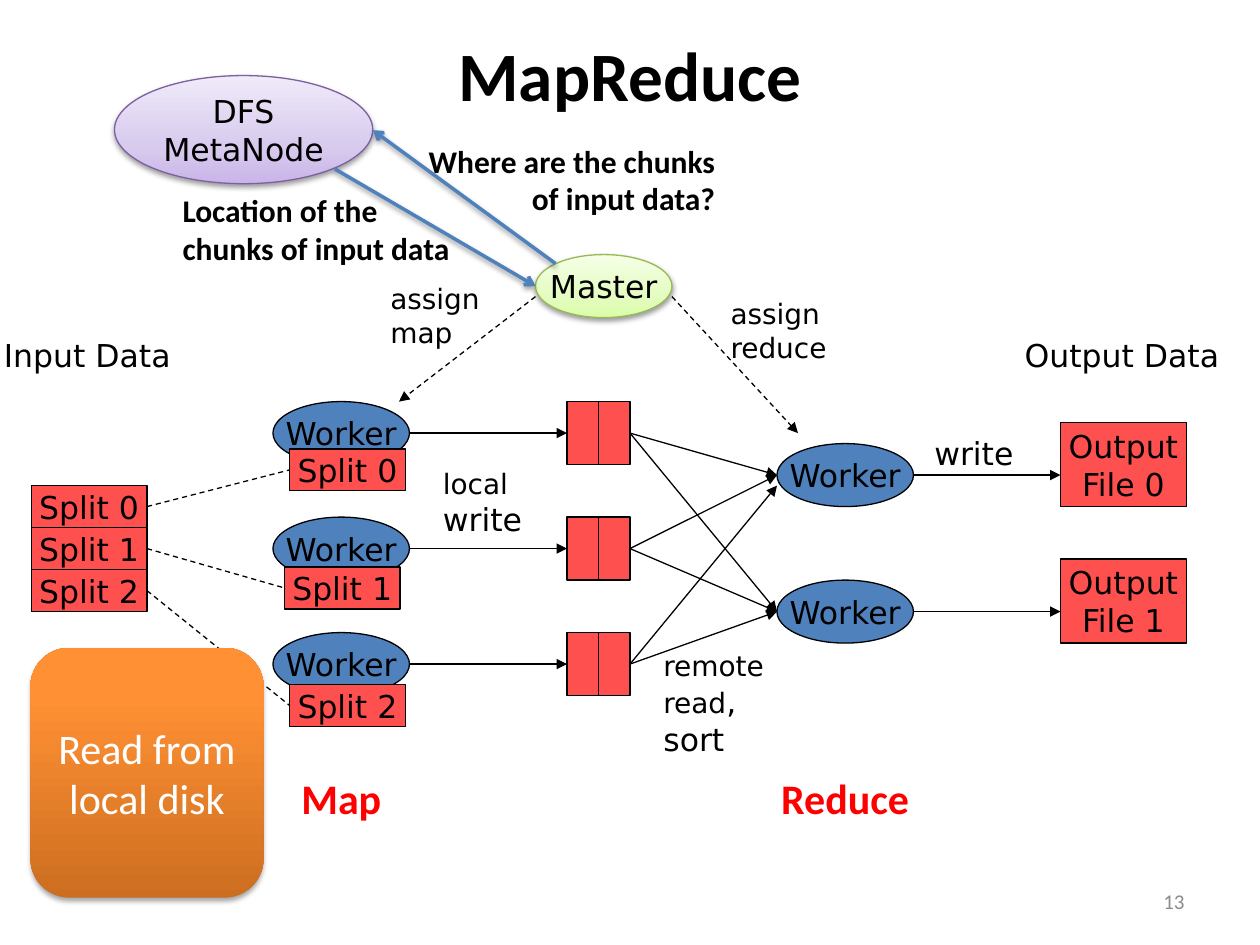
from dataclasses import dataclass
from itertools import product

from lxml.etree import SubElement
from pptx import Presentation
from pptx.dml.color import RGBColor
from pptx.enum.dml import MSO_LINE
from pptx.enum.shapes import MSO_CONNECTOR, MSO_SHAPE
from pptx.enum.text import MSO_ANCHOR, MSO_AUTO_SIZE, PP_ALIGN
from pptx.oxml.ns import qn
from pptx.util import Inches, Pt


@dataclass(frozen=True)
class Theme:
    sans: str = "DejaVu Sans"
    body: str = "Calibri"
    black: str = "000000"
    white: str = "FFFFFF"
    gray: str = "8C8C8C"
    accent: str = "FF0000"
    red: str = "FF5050"
    blue: str = "4F81BD"
    green_edge: str = "98B955"
    purple_edge: str = "7D60A0"
    green: tuple = ((0, "DAFDA7"), (35, "E4FCC2"), (100, "F5FFE7"))
    purple: tuple = ((0, "C9B5E8"), (35, "D8CBEE"), (100, "F0EAF9"))
    orange: tuple = ((0, "CC6E20"), (80, "FF9034"), (100, "FF9136"))
    title: float = 39.6
    large: int = 24
    normal: int = 18
    small: int = 16
    tiny: int = 12
    thin: float = 0.75
    thick: int = 2


T = Theme()
CELL = Inches(10) // 120
ELLIPSE, RECT = MSO_SHAPE.OVAL, MSO_SHAPE.RECTANGLE
LEFT, CENTER, RIGHT = PP_ALIGN.LEFT, PP_ALIGN.CENTER, PP_ALIGN.RIGHT
LEFT_SIDE, RIGHT_SIDE = 1, 3


def grid(*cells):
    return [round(c * CELL) for c in cells]


def add_run(p, text, size, font, color, bold=False):
    r = p.add_run()
    r.text = text
    r.font.size, r.font.name, r.font.bold = Pt(size), font, bold
    r.font.color.rgb = RGBColor.from_string(color)


def write(tf, lines, align, size=T.normal, font=T.sans, color=T.black, bold=False):
    for i, line in enumerate(lines):
        p = tf.add_paragraph() if i else tf.paragraphs[0]
        p.alignment = align
        runs = [(line, size)] if isinstance(line, str) else line
        for text, run_size in runs:
            add_run(p, text, run_size, font, color, bold)


def add_shadow(sp, alpha=38, dist=1.6):
    effects = sp._element.spPr.find(qn("a:effectLst"))
    shadow = SubElement(effects, qn("a:outerShdw"), blurRad=str(Pt(3.1)),
                        dist=str(Pt(dist)), dir="5400000", rotWithShape="0")
    color = SubElement(shadow, qn("a:srgbClr"), val=T.black)
    SubElement(color, qn("a:alpha"), val=str(alpha * 1000))


def fill_gradient(sp, stops):
    sp.fill.gradient()
    sp.fill.gradient_angle = 90
    stop_list = sp._element.spPr.find(qn("a:gradFill")).find(qn("a:gsLst"))
    stop_list.clear()
    for pos, color in stops:
        stop = SubElement(stop_list, qn("a:gs"), pos=str(pos * 1000))
        SubElement(stop, qn("a:srgbClr"), val=color)


def add_box(s, kind, at, fill, lines=(), edge=T.black, wrap=False, **style):
    sp = s.shapes.add_shape(kind, *grid(*at))
    sp.shadow.inherit = False
    if isinstance(fill, str):
        sp.fill.solid()
        sp.fill.fore_color.rgb = RGBColor.from_string(fill)
    else:
        fill_gradient(sp, fill)
    if edge:
        sp.line.color.rgb = RGBColor.from_string(edge)
        sp.line.width = Pt(T.thin)
    else:
        sp.line.fill.background()
    tf = sp.text_frame
    tf.word_wrap = wrap
    tf.vertical_anchor = MSO_ANCHOR.MIDDLE
    write(tf, lines, CENTER, **style)
    return sp


def add_label(s, at, lines, align=LEFT, wrap=False, **style):
    tf = s.shapes.add_textbox(*grid(*at)).text_frame
    tf.word_wrap = wrap
    tf.auto_size = MSO_AUTO_SIZE.SHAPE_TO_FIT_TEXT
    write(tf, lines, align, **style)
    return tf


def add_line(s, start, end, color=T.black, width=T.thin, dash=False, head="triangle",
             source=None, target=None):
    cx = s.shapes.add_connector(MSO_CONNECTOR.STRAIGHT, *grid(*start, *end))
    if source is not None:
        cx.begin_connect(source, RIGHT_SIDE)
    if target is not None:
        cx.end_connect(target, LEFT_SIDE)
    cx.line.color.rgb = RGBColor.from_string(color)
    cx.line.width = Pt(width)
    if dash:
        cx.line.dash_style = MSO_LINE.DASH
    if head:
        SubElement(cx.line._get_or_add_ln(), qn("a:tailEnd"), type=head)
    SubElement(cx._element.spPr, qn("a:effectLst"))
    return cx


def add_title(s):
    title = s.shapes.title
    title.left, title.top, title.width, title.height = grid(6, 3.1, 108, 15)
    tf = title.text_frame
    tf.vertical_anchor = MSO_ANCHOR.TOP
    tf.margin_top = 0
    write(tf, ["MapReduce"], CENTER, T.title, T.body, bold=True)


def add_master(s):
    add_shadow(add_box(s, ELLIPSE, (51, 24.25, 13, 6), T.green, ["Master"], T.green_edge))
    add_line(s, (51, 28.25), (38, 38.25), dash=True)
    add_line(s, (64, 28.25), (76, 41.25), dash=True)
    add_label(s, (36, 26.25, 11, 7.7), ["assign", "map"], size=T.small)
    add_label(s, (68.4, 27.7, 12, 7.7), ["assign", "reduce"], size=T.small)


def add_map_stage(s):
    buffers = []
    for i, (col, row) in enumerate([(27.6, 42.75), (27.1, 54), (27.6, 65.2)]):
        top = 38.25 + 11 * i
        add_box(s, ELLIPSE, (26, top, 13, 6), T.blue, ["Worker"])
        first, last = [add_box(s, RECT, (c, top, 3, 6), T.red) for c in (54, 57)]
        add_line(s, (39, top + 3), (54, top + 3), target=first)
        buffers.append(last)
        stored = add_box(s, RECT, (3, 46.25 + 4 * i, 11, 4), T.red, [f"Split {i}"])
        loaded = add_box(s, RECT, (col, row, 11, 4), T.red, [f"Split {i}"])
        add_line(s, (14, 48.25 + 4 * i), (col, row + 2), dash=True, head=None,
                 source=stored, target=loaded)
    add_label(s, (41, 43.8, 10, 8), [[("local", T.small)], "write"])
    add_label(s, (-0.8, 31.4, 18.7, 4.8), ["Input Data"])
    return buffers


def add_reduce_stage(s, buffers):
    for i in range(2):
        top = 42.25 + 13 * i
        add_box(s, ELLIPSE, (74, top, 13, 6), T.blue, ["Worker"])
        add_box(s, RECT, (101, top - 2, 12, 8), T.red, ["Output", f"File {i}"])
        add_line(s, (87, top + 3), (101, top + 3))
    for (i, buffer), j in product(enumerate(buffers), range(2)):
        end = 46.25 if (i, j) == (2, 0) else 45.25 + 13 * j
        add_line(s, (60, 41.25 + 11 * i), (74, end), source=buffer)
    add_label(s, (62, 61.2, 12.1, 11.8),
              [[("remote", T.small)], [("read", T.small), (",", T.normal)], "sort"])
    add_label(s, (87.8, 40.7, 10, 4.8), ["write"])
    add_label(s, (96.4, 31.4, 21.1, 4.8), ["Output Data"])


def add_metadata_node(s):
    node = add_box(s, ELLIPSE, (10.9, 7.2, 24.6, 10.3), T.purple,
                   ["DFS", "MetaNode"], T.purple_edge)
    add_shadow(node)
    for start, end in [((52.9, 25.1), (35.5, 12.4)), ((31.9, 16.1), (51, 27.25))]:
        add_shadow(add_line(s, start, end, T.blue, T.thick, head="arrow"))


def add_captions(s):
    for text, left, width in [("Map", 16.5, 32), ("Reduce", 68.6, 23.8)]:
        add_label(s, (left, 73, width, 6), [text], CENTER, True,
                  size=T.large, font=T.body, color=T.accent, bold=True)
    note = add_box(s, MSO_SHAPE.ROUNDED_RECTANGLE, (2.9, 61.7, 22.2, 23.8), T.orange,
                   ["Read from local disk"], None, True,
                   size=T.large, font=T.body, color=T.white)
    add_shadow(note, 35, 1.8)
    add_label(s, (36.8, 12.9, 32.5, 8.5), ["Where are the chunks of input data?"],
              RIGHT, True, font=T.body, bold=True)
    add_label(s, (16.2, 17.6, 29.6, 8.5), ["Location of the chunks of input data"],
              LEFT, True, font=T.body, bold=True)
    tf = add_label(s, (86, 83.4, 28, 4.8), ["13"], RIGHT, True,
                   size=T.tiny, font=T.body, color=T.gray)
    tf.auto_size = MSO_AUTO_SIZE.NONE
    tf.vertical_anchor = MSO_ANCHOR.MIDDLE


def main():
    prs = Presentation()
    prs.slide_width, prs.slide_height = grid(120, 90)
    s = prs.slides.add_slide(prs.slide_layouts[5])
    add_title(s)
    add_master(s)
    add_reduce_stage(s, add_map_stage(s))
    add_metadata_node(s)
    add_captions(s)
    prs.save("out.pptx")


if __name__ == "__main__":
    main()
